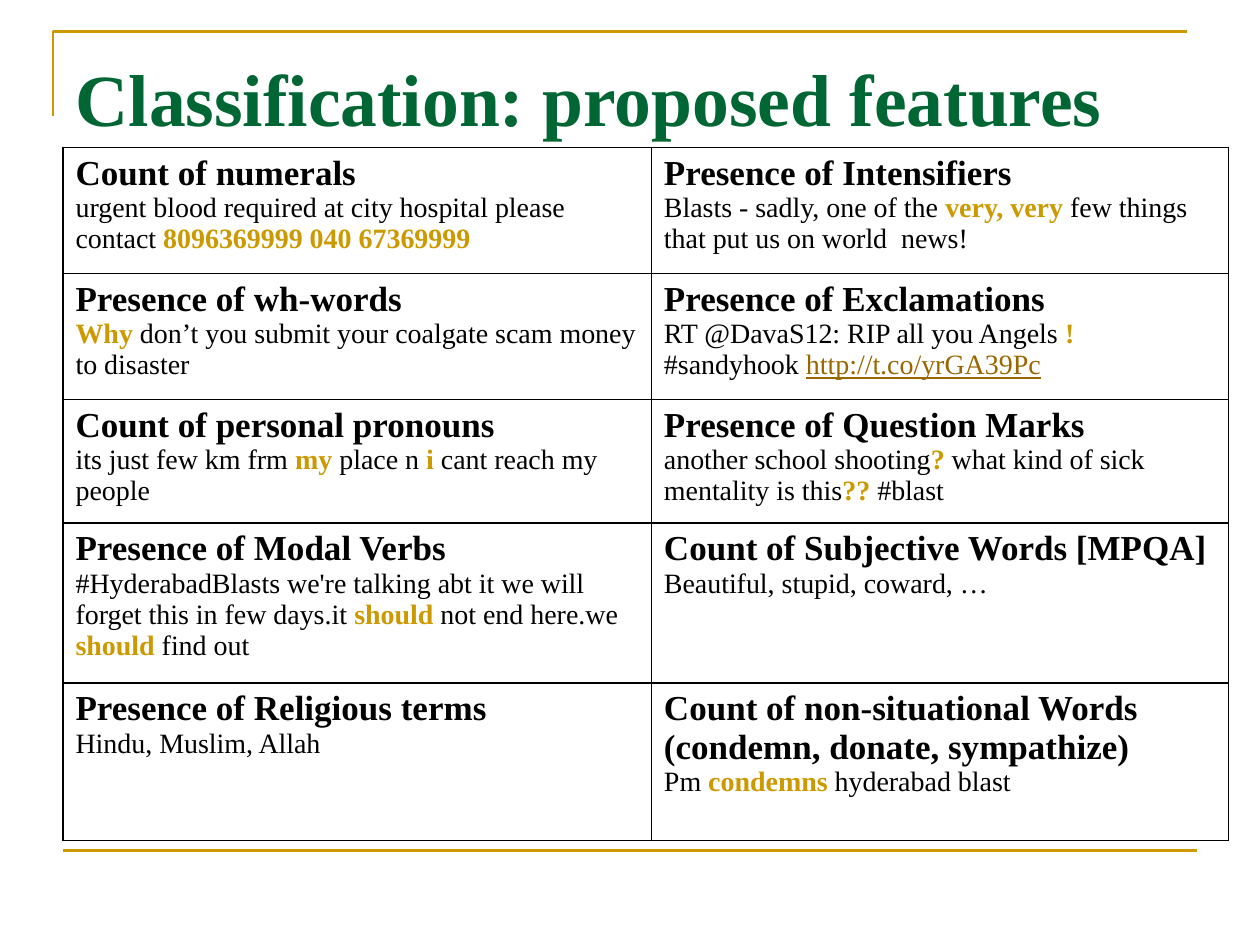
from dataclasses import dataclass

from lxml import etree
from pptx import Presentation
from pptx import util as u
from pptx.dml.color import RGBColor
from pptx.enum import shapes, text
from pptx.oxml import ns


@dataclass(frozen=True)
class Theme:
    font: str = "Times New Roman"
    title_color: RGBColor = RGBColor(0x00, 0x66, 0x33)
    accent: RGBColor = RGBColor(0xCC, 0x99, 0x00)
    link: RGBColor = RGBColor(0x99, 0x66, 0x00)
    ink: RGBColor = RGBColor(0x00, 0x00, 0x00)
    title_size: int = 42
    heading_size: int = 20
    example_size: int = 16
    rule_width: float = 1.5
    border_width: int = 1


FEATURES = [
    [("Count of numerals",
      "urgent blood required at city hospital please contact *8096369999 040 67369999*"),
     ("Presence of Intensifiers",
      "Blasts - sadly, one of the *very, very* few things that put us on world  news!")],
    [("Presence of wh-words",
      "*Why* don’t you submit your coalgate scam money to disaster"),
     ("Presence of Exclamations",
      "RT @DavaS12: RIP all you Angels *!* #sandyhook *http://t.co/yrGA39Pc*")],
    [("Count of personal pronouns",
      "its just few km frm *my* place n *i* cant reach my people"),
     ("Presence of Question Marks",
      "another school shooting*?* what kind of sick mentality is this*??* #blast")],
    [("Presence of Modal Verbs",
      "#HyderabadBlasts we're talking abt it we will forget this in few days.it "
      "*should* not end here.we *should* find out"),
     ("Count of Subjective Words [MPQA]",
      "Beautiful, stupid, coward, …")],
    [("Presence of Religious terms",
      "Hindu, Muslim, Allah"),
     ("Count of non-situational Words (condemn, donate, sympathize)",
      "Pm *condemns *hyderabad blast")],
]
COLUMN_WIDTHS = [4.67, 4.58]
ROW_HEIGHTS = [1, 1, 0.98, 1.27, 1.25]


class SlideBuilder:
    def __init__(self, slide, theme):
        self.slide = slide
        self.theme = theme

    def style_line(self, shape):
        shape.line.color.rgb = self.theme.accent
        shape.line.width = u.Pt(self.theme.rule_width)

    def corner(self, points):
        start, *others = [(u.Inches(x), u.Inches(y)) for x, y in points]
        builder = self.slide.shapes.build_freeform(*start)
        builder.add_line_segments(others, close=False)
        shape = builder.convert_to_shape()
        shape.shadow.inherit = False
        shape.fill.background()
        self.style_line(shape)

    def rule(self, left, right, top):
        connector = self.slide.shapes.add_connector(
            shapes.MSO_CONNECTOR.STRAIGHT,
            u.Inches(left), u.Inches(top), u.Inches(right), u.Inches(top))
        etree.SubElement(connector._element.spPr, ns.qn("a:effectLst"))
        self.style_line(connector)

    def title(self, wording, left, top, width, height):
        shape = self.slide.shapes.title
        shape.left, shape.top = u.Inches(left), u.Inches(top)
        shape.width, shape.height = u.Inches(width), u.Inches(height)
        frame = shape.text_frame
        frame.text = wording
        frame.auto_size = text.MSO_AUTO_SIZE.NONE
        frame.vertical_anchor = text.MSO_ANCHOR.TOP
        frame.margin_top = u.Inches(0.12)
        paragraph = frame.paragraphs[0]
        paragraph.alignment = text.PP_ALIGN.LEFT
        self.style_paragraph(paragraph, self.theme.title_size, self.theme.title_color)
        paragraph.font.bold = True

    def style_paragraph(self, paragraph, size, color):
        paragraph.font.name = self.theme.font
        paragraph.font.size = u.Pt(size)
        paragraph.font.color.rgb = color

    def example(self, paragraph, marked_text):
        self.style_paragraph(paragraph, self.theme.example_size, self.theme.ink)
        for index, part in enumerate(marked_text.split("*")):
            if not part:
                continue
            run = paragraph.add_run()
            run.text = part
            if part.startswith("http"):
                run.font.color.rgb = self.theme.link
                run.font.underline = True
            elif index % 2:
                run.font.color.rgb = self.theme.accent
                run.font.bold = True

    def borders(self, cell):
        properties = cell._tc.get_or_add_tcPr()
        for index, side in enumerate(("lnL", "lnR", "lnT", "lnB")):
            line = etree.Element(
                ns.qn(f"a:{side}"), w=str(u.Pt(self.theme.border_width)))
            fill = etree.SubElement(line, ns.qn("a:solidFill"))
            etree.SubElement(fill, ns.qn("a:srgbClr"), val=str(self.theme.ink))
            properties.insert(index, line)

    def feature_cell(self, cell, heading, marked_text):
        cell.fill.background()
        self.borders(cell)
        frame = cell.text_frame
        paragraph = frame.paragraphs[0]
        paragraph.text = heading
        self.style_paragraph(paragraph, self.theme.heading_size, self.theme.ink)
        paragraph.font.bold = True
        self.example(frame.add_paragraph(), marked_text)

    def feature_table(self, rows, left, top):
        table = self.slide.shapes.add_table(
            len(rows), len(COLUMN_WIDTHS), u.Inches(left), u.Inches(top),
            u.Inches(sum(COLUMN_WIDTHS)), u.Inches(sum(ROW_HEIGHTS))).table
        table.first_row = False
        table.horz_banding = False
        for column, width in zip(table.columns, COLUMN_WIDTHS):
            column.width = u.Inches(width)
        for row, height, features in zip(table.rows, ROW_HEIGHTS, rows):
            row.height = u.Inches(height)
            for cell, feature in zip(row.cells, features):
                self.feature_cell(cell, *feature)


def main():
    presentation = Presentation()
    presentation.slide_width = u.Inches(10)
    presentation.slide_height = u.Inches(7.5)
    slide = presentation.slides.add_slide(presentation.slide_layouts[5])
    builder = SlideBuilder(slide, Theme())
    builder.corner([(0.42, 0.92), (0.42, 0.25), (9.42, 0.25)])
    builder.rule(0.5, 9.5, 6.75)
    builder.title("Classification: proposed features", 0.5, 0.3, 9, 1.25)
    builder.feature_table(FEATURES, 0.5, 1.17)
    presentation.save("out.pptx")


if __name__ == "__main__":
    main()
